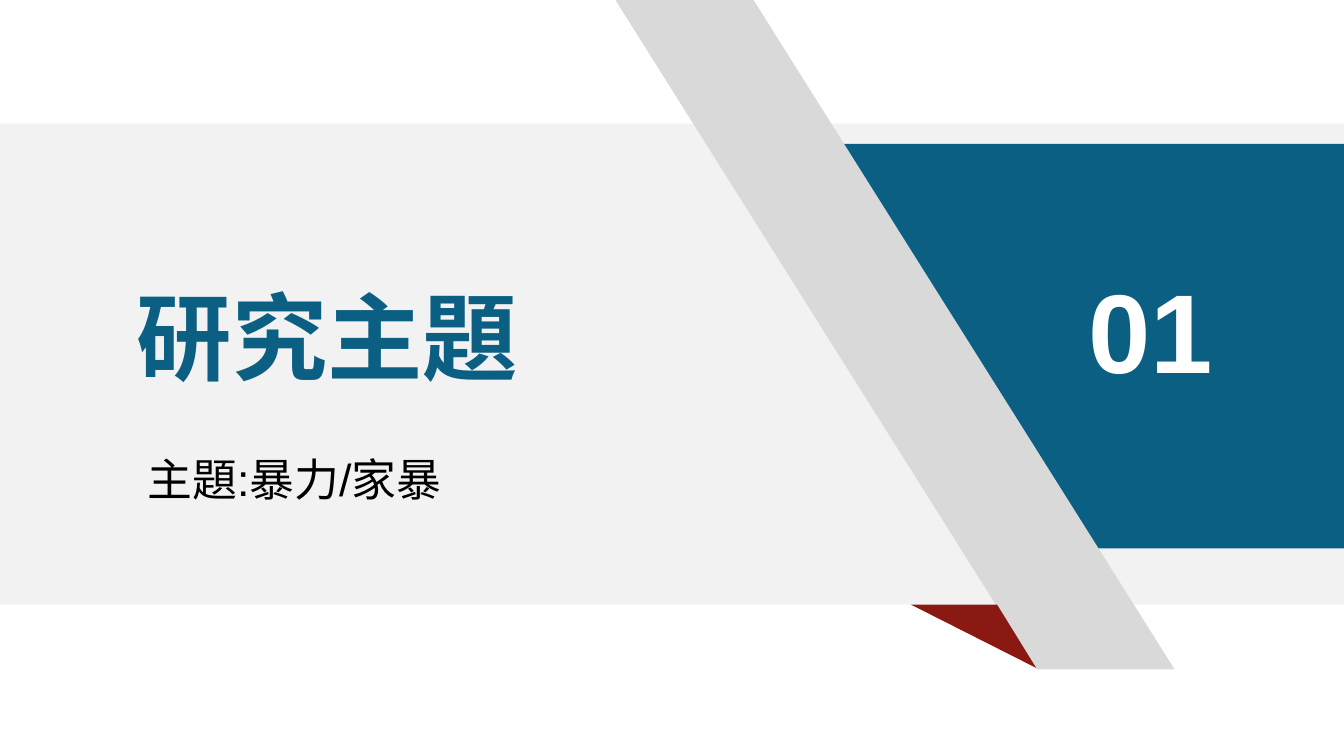
from pptx import Presentation
from pptx.dml.color import RGBColor
from pptx.enum.shapes import MSO_SHAPE as Shape
from pptx.oxml.ns import qn
from pptx.util import Inches, Pt

BLUE, RED = "0B5F83", "891912"
PALE_GREY, GREY = "F2F2F2", "D9D9D9"
WHITE, BLACK = "FFFFFF", "000000"
LATIN, CJK = "Arial", "Noto Sans CJK SC"


def rgb(hex_color):
    return RGBColor.from_string(hex_color)


def paint(shape, color):
    shape.shadow.inherit = False
    shape.fill.solid()
    shape.fill.fore_color.rgb = rgb(color)
    shape.line.fill.background()
    return shape


def add_block(slide, kind, left, top, width, height, color):
    box = map(Inches, (left, top, width, height))
    return paint(slide.shapes.add_shape(kind, *box), color)


def add_polygon(slide, points, color):
    start, *rest = [(Inches(x), Inches(y)) for x, y in points]
    builder = slide.shapes.build_freeform(*start)
    builder.add_line_segments(rest, close=True)
    return paint(builder.convert_to_shape(), color)


def add_text(slide, text, left, top, width, height, *, size, color,
             font=LATIN, bold=False, wrap=True):
    box = map(Inches, (left, top, width, height))
    frame = slide.shapes.add_textbox(*box).text_frame
    frame.word_wrap = wrap
    run = frame.paragraphs[0].add_run()
    run.text = text
    run.font.name = font
    run.font.size = Pt(size)
    run.font.bold = bold
    run.font.color.rgb = rgb(color)
    east_asian = run.font._element.makeelement(qn("a:ea"), {"typeface": CJK})
    run.font._element.find(qn("a:latin")).addnext(east_asian)


def add_ribbon(slide):
    """Diagonal band leaning left, with its folded end below the panel."""
    band = add_block(slide, Shape.PARALLELOGRAM, 4.58, 0, 4.16, 4.98, GREY)
    band.adjustments[0] = 0.753
    band._element.spPr.find(qn("a:xfrm")).set("flipH", "1")
    add_polygon(slide, [(7.71, 4.97), (7.42, 4.5), (6.78, 4.5)], RED)


def main():
    prs = Presentation()
    prs.slide_width = Inches(10)
    prs.slide_height = Inches(10) * 9 // 16
    slide = prs.slides.add_slide(prs.slide_layouts[6])

    add_block(slide, Shape.RECTANGLE, 0, 0.92, 10, 3.58, PALE_GREY)
    add_polygon(slide, [(5.5, 1.07), (10.02, 1.07), (10.02, 4.08), (7.38, 4.08)], BLUE)
    add_ribbon(slide)

    add_text(slide, "01", 8, 1.9, 1.14, 1.11,
             size=60, color=WHITE, bold=True, wrap=False)
    add_text(slide, "研究主題", 0.92, 2.02, 4.7, 0.96,
             size=51, color=BLUE, font=CJK, bold=True)
    add_text(slide, "主題:暴力/家暴", 1, 3.31, 5.08, 0.81, size=24, color=BLACK)

    prs.save("out.pptx")


if __name__ == "__main__":
    main()
